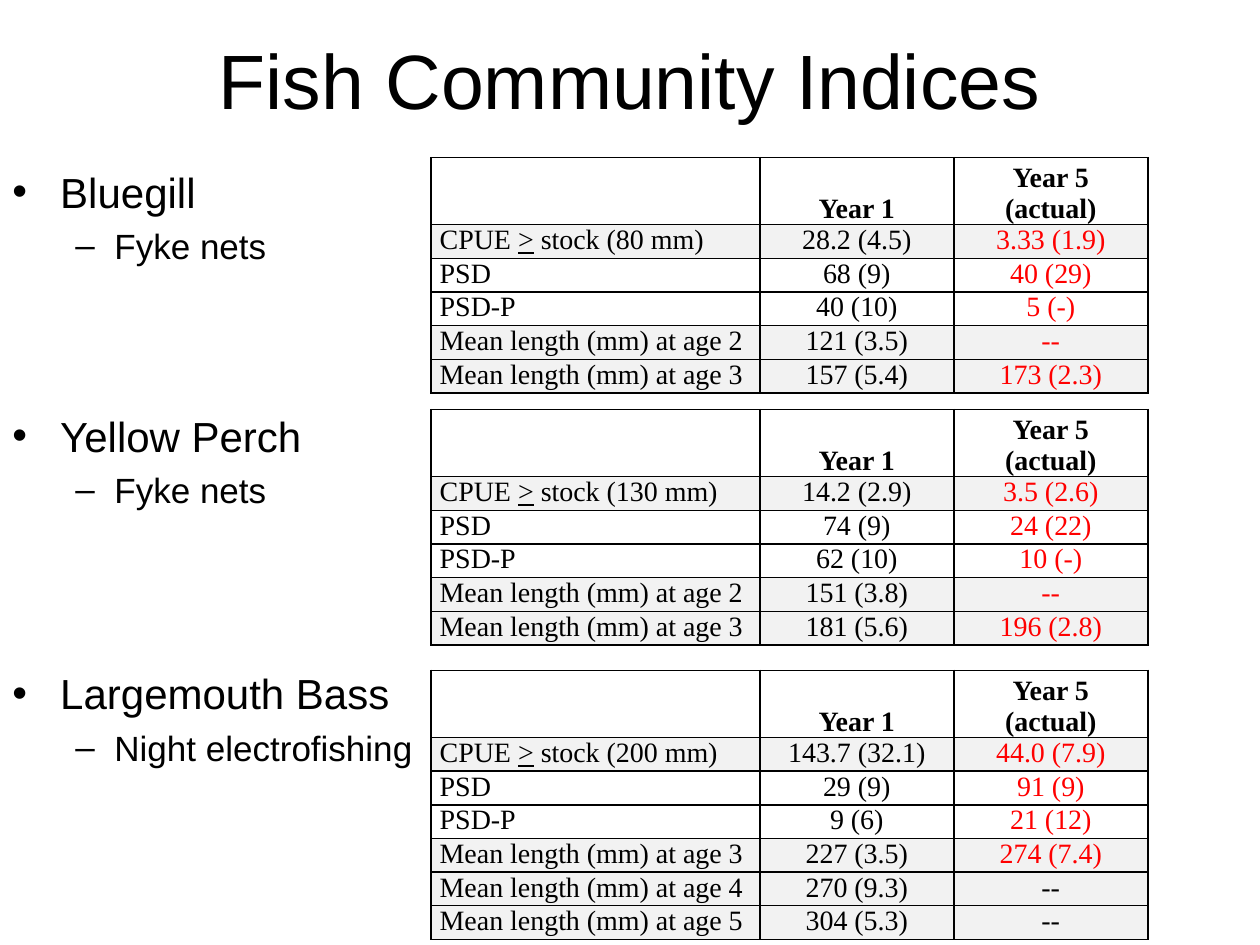
from lxml.etree import SubElement
from pptx import Presentation
from pptx.dml.color import RGBColor
from pptx.enum.text import MSO_ANCHOR as Anchor, PP_ALIGN as Align
from pptx.oxml.ns import qn
from pptx.util import Inches, Pt

BLACK, RED, GRAY = "000000", "FF0000", "F2F2F2"
TABLE_LEFT = 3.42
COLUMN_WIDTHS = (2.61, 1.54, 1.54)
HEADER_HEIGHT, ROW_HEIGHT = 0.49, 0.26

SPECIES = [
    ("Bluegill", "Fyke nets", 0),
    ("Yellow Perch", "Fyke nets", 82),
    ("Largemouth Bass", "Night electrofishing", 90),
]

TABLES = [
    (1.25, [
        ("CPUE > stock (80 mm)", "28.2 (4.5)", "3.33 (1.9)"),
        ("PSD", "68 (9)", "40 (29)"),
        ("PSD-P", "40 (10)", "5 (-)"),
        ("Mean length (mm) at age 2", "121 (3.5)", "--"),
        ("Mean length (mm) at age 3", "157 (5.4)", "173 (2.3)"),
    ]),
    (3.25, [
        ("CPUE > stock (130 mm)", "14.2 (2.9)", "3.5 (2.6)"),
        ("PSD", "74 (9)", "24 (22)"),
        ("PSD-P", "62 (10)", "10 (-)"),
        ("Mean length (mm) at age 2", "151 (3.8)", "--"),
        ("Mean length (mm) at age 3", "181 (5.6)", "196 (2.8)"),
    ]),
    (5.32, [
        ("CPUE > stock (200 mm)", "143.7 (32.1)", "44.0 (7.9)"),
        ("PSD", "29 (9)", "91 (9)"),
        ("PSD-P", "9 (6)", "21 (12)"),
        ("Mean length (mm) at age 3", "227 (3.5)", "274 (7.4)"),
        ("Mean length (mm) at age 4", "270 (9.3)", "--"),
        ("Mean length (mm) at age 5", "304 (5.3)", "--"),
    ]),
]


def color(value):
    """Turn a hex string into a colour."""
    return RGBColor.from_string(value)


def set_font(paragraph, size, name="Arial", ink=BLACK, bold=False):
    """Set the font of a whole paragraph."""
    font = paragraph.font
    font.size, font.name, font.bold = Pt(size), name, bold
    font.color.rgb = color(ink)


def add_text_frame(slide, left, top, width, height):
    """Add a wrapping text box and return its text frame."""
    box = slide.shapes.add_textbox(*map(Inches, (left, top, width, height)))
    box.text_frame.word_wrap = True
    return box.text_frame


def add_title(slide, text):
    """Add the centred slide title."""
    frame = add_text_frame(slide, 0.5, 0, 9, 1.25)
    frame.vertical_anchor = Anchor.MIDDLE
    paragraph = frame.paragraphs[0]
    paragraph.text, paragraph.alignment = text, Align.CENTER
    set_font(paragraph, 44)


def set_bullet(paragraph, character, margin, hanging):
    """Give a paragraph a bullet with a hanging indent."""
    properties = paragraph._p.get_or_add_pPr()
    properties.set("marL", str(Inches(margin)))
    properties.set("indent", str(-Inches(hanging)))
    SubElement(properties, qn("a:buFont"), typeface="Arial")
    SubElement(properties, qn("a:buChar"), char=character)


def add_species_list(slide):
    """List each species with its sampling method."""
    frame = add_text_frame(slide, 0, 1.27, 9, 5.43)
    for index, (species, method, gap) in enumerate(SPECIES):
        levels = [
            (species, 0, "•", 0.38, 0.38, 24, gap),
            (method, 1, "–", 0.81, 0.31, 20, 4.5),
        ]
        for text, level, bullet, margin, hanging, size, space in levels:
            first = index == level == 0
            paragraph = frame.paragraphs[0] if first else frame.add_paragraph()
            paragraph.text, paragraph.level = text, level
            set_bullet(paragraph, bullet, margin, hanging)
            paragraph.space_before = Pt(space)
            set_font(paragraph, size)


def set_borders(cell):
    """Draw a thin black line on all four sides of a cell."""
    properties = cell._tc.get_or_add_tcPr()
    for index, side in enumerate(("lnL", "lnR", "lnT", "lnB")):
        line = properties.makeelement(qn(f"a:{side}"), {"w": str(Pt(1))})
        fill = SubElement(line, qn("a:solidFill"))
        SubElement(fill, qn("a:srgbClr"), val=BLACK)
        properties.insert(index, line)


def fill_cell(cell, text, ink=BLACK, bold=False, centred=True, shade=None):
    """Write and style one table cell, underlining any > sign."""
    cell.margin_left = cell.margin_right = Inches(0.07)
    cell.margin_top = cell.margin_bottom = 0
    cell.vertical_anchor = Anchor.BOTTOM if bold else Anchor.TOP
    if shade:
        cell.fill.solid()
        cell.fill.fore_color.rgb = color(shade)
    else:
        cell.fill.background()
    set_borders(cell)
    for index, line in enumerate(text.split("\n")):
        frame = cell.text_frame
        paragraph = frame.add_paragraph() if index else frame.paragraphs[0]
        paragraph.alignment = Align.CENTER if centred else Align.LEFT
        for part in filter(None, line.partition(">")):
            run = paragraph.add_run()
            run.text = part
            if part == ">":
                run.font.underline = True
        set_font(paragraph, 16, "Times New Roman", ink, bold)


def add_index_table(slide, top, rows):
    """Add one species table with its header row."""
    height = HEADER_HEIGHT + ROW_HEIGHT * len(rows)
    place = map(Inches, (TABLE_LEFT, top, sum(COLUMN_WIDTHS), height))
    table = slide.shapes.add_table(len(rows) + 1, 3, *place).table
    table.first_row = table.horz_banding = False
    for column, width in zip(table.columns, COLUMN_WIDTHS):
        column.width = Inches(width)
    for index, row in enumerate(table.rows):
        row.height = Inches(ROW_HEIGHT if index else HEADER_HEIGHT)
    for index, text in enumerate(("", "Year 1", "Year 5\n(actual)")):
        fill_cell(table.cell(0, index), text, bold=True)
    for row_index, row in enumerate(rows, 1):
        shade = None if row[0].startswith("PSD") else GRAY
        unsampled = row[0].endswith(("age 4", "age 5"))
        for index, text in enumerate(row):
            ink = RED if index == 2 and not unsampled else BLACK
            fill_cell(table.cell(row_index, index), text, ink,
                      centred=index > 0, shade=shade)


def main():
    """Build and save the slide."""
    presentation = Presentation()
    presentation.slide_width, presentation.slide_height = Inches(10), Inches(7.5)
    slide = presentation.slides.add_slide(presentation.slide_layouts[6])
    add_title(slide, "Fish Community Indices")
    add_species_list(slide)
    for top, rows in TABLES:
        add_index_table(slide, top, rows)
    presentation.save("out.pptx")


if __name__ == "__main__":
    main()
